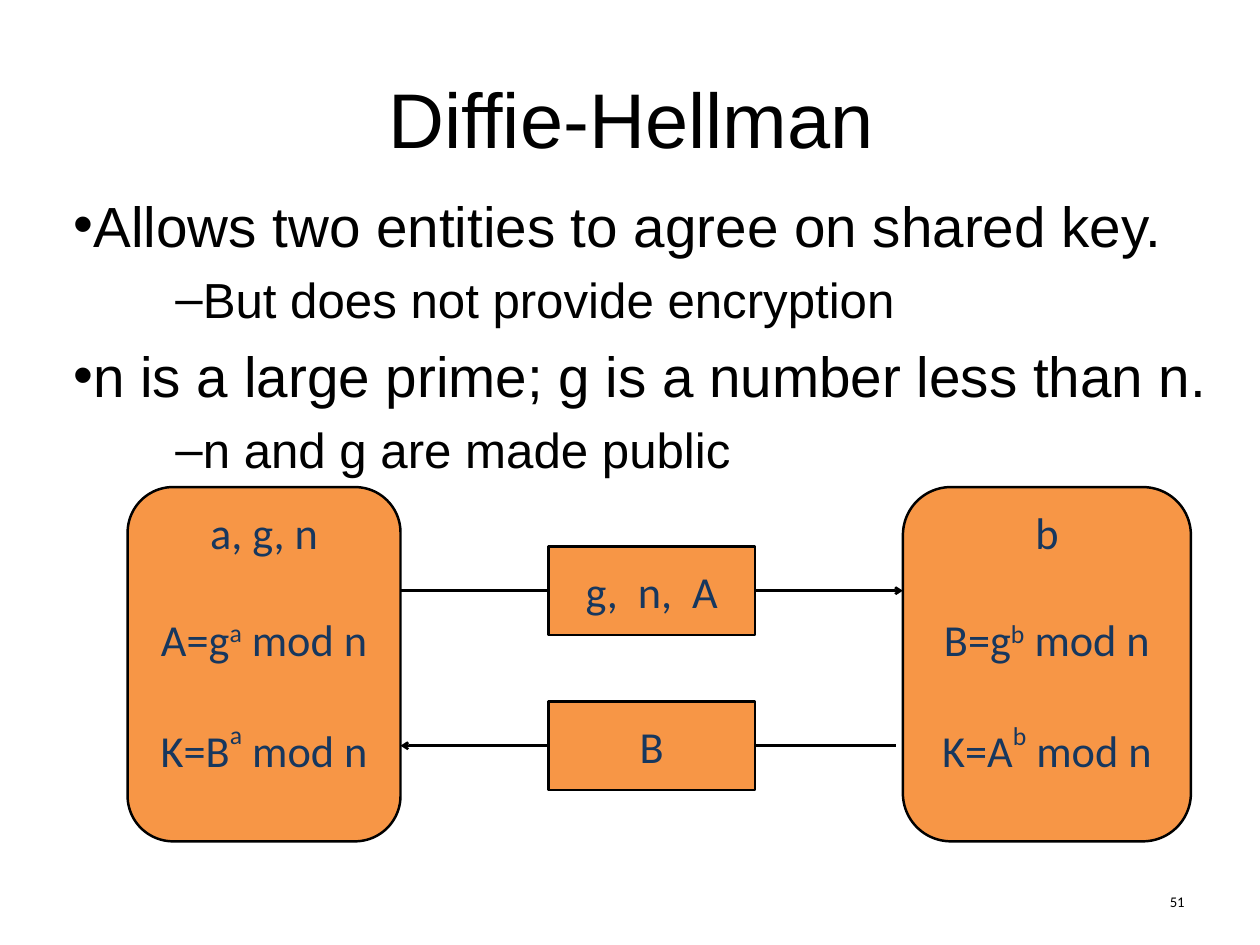
from lxml import etree
from pptx import Presentation
from pptx.dml.color import RGBColor
from pptx.enum.shapes import MSO_CONNECTOR, MSO_SHAPE
from pptx.enum.text import MSO_ANCHOR, PP_ALIGN
from pptx.oxml.ns import qn
from pptx.util import Inches, Pt

LEFT, CENTER, RIGHT = PP_ALIGN.LEFT, PP_ALIGN.CENTER, PP_ALIGN.RIGHT
TOP, MIDDLE = MSO_ANCHOR.TOP, MSO_ANCHOR.MIDDLE
RECT, ROUNDED = MSO_SHAPE.RECTANGLE, MSO_SHAPE.ROUNDED_RECTANGLE
STRAIGHT = MSO_CONNECTOR.STRAIGHT

BLACK, NAVY, ORANGE = "000000", "17375E", "F79646"
LINE_WIDTH = 2
LABEL_SIZE = 36
PARTY_LINE_GAP = 44

BULLETS = [
    (0, "Allows two entities to agree on shared key."),
    (1, "But does not provide encryption"),
    (0, "n is a large prime; g is a number less than n."),
    (1, "n and g are made public"),
]
# Per level: bullet, size, left indent, space before
LEVELS = [("•", 46, 0, 10), ("–", 40, 1.15, 9)]

WIDE = {"spc": "800"}
LOW = {"baseline": "30000"}
HIGH = {"baseline": "50000"}


def color(hex_string):
    return RGBColor.from_string(hex_string)


def set_frame(tf, anchor, inset_x, inset_y):
    tf.word_wrap = True
    tf.vertical_anchor = anchor
    tf.margin_left = tf.margin_right = Inches(inset_x)
    tf.margin_top = tf.margin_bottom = Inches(inset_y)


def next_paragraph(tf, index, align):
    p = tf.paragraphs[0] if index == 0 else tf.add_paragraph()
    p.alignment = align
    return p


def add_runs(p, runs, size, font, hex_color):
    """Add (text, run attributes) pairs to a paragraph."""
    for text, attributes in runs:
        r = p.add_run()
        r.text = text
        r.font.size = Pt(size)
        r.font.name = font
        r.font.color.rgb = color(hex_color)
        for name, value in attributes.items():
            r._r.get_or_add_rPr().set(name, value)


def add_text_box(s, box, anchor):
    sp = s.shapes.add_textbox(*map(Inches, box))
    set_frame(sp.text_frame, anchor, 0.14, 0.07)
    return sp.text_frame


def add_line_of_text(s, box, text, size, font, align):
    tf = add_text_box(s, box, MIDDLE)
    add_runs(next_paragraph(tf, 0, align), [(text, {})], size, font, BLACK)


def add_bullets(s, box):
    tf = add_text_box(s, box, TOP)
    for i, (level, text) in enumerate(BULLETS):
        bullet, size, indent, gap = LEVELS[level]
        p = next_paragraph(tf, i, LEFT)
        p.level = level
        p.space_before = Pt(gap)
        pPr = p._p.get_or_add_pPr()
        pPr.set("marL", str(Inches(indent)))
        pPr.set("indent", "0")
        etree.SubElement(pPr, qn("a:buFont")).set("typeface", "Arial")
        etree.SubElement(pPr, qn("a:buChar")).set("char", bullet)
        add_runs(p, [(text, {})], size, "Arial", BLACK)


def add_block(s, kind, box, anchor, lines):
    """Add an outlined orange shape with centred lines of runs."""
    sp = s.shapes.add_shape(kind, *map(Inches, box))
    sp.shadow.inherit = False
    sp.fill.solid()
    sp.fill.fore_color.rgb = color(ORANGE)
    sp.line.color.rgb = color(BLACK)
    sp.line.width = Pt(LINE_WIDTH)
    set_frame(sp.text_frame, anchor, 0, 0.05)
    for i, runs in enumerate(lines):
        p = next_paragraph(sp.text_frame, i, CENTER)
        if i:
            p.space_before = Pt(PARTY_LINE_GAP)
        add_runs(p, runs, LABEL_SIZE, "Calibri", NAVY)


def add_arrow(s, x1, x2, y):
    cx = s.shapes.add_connector(STRAIGHT, Inches(x1), Inches(y), Inches(x2), Inches(y))
    cx.line.color.rgb = color(BLACK)
    cx.line.width = Pt(LINE_WIDTH)
    etree.SubElement(cx.line._get_or_add_ln(), qn("a:tailEnd")).set("type", "arrow")
    etree.SubElement(cx._element.spPr, qn("a:effectLst"))


def party_lines(known, public, received, secret):
    """Lines for one party: what it knows, its public value, the shared key."""
    return [
        [(known, {})],
        [(f"{public}=g", {}), (secret, LOW), (" mod n", {})],
        [(f"K={received}", {}), (secret, HIGH), (" mod n", {})],
    ]


def add_exchange(s, box):
    """Draw both parties and the two messages between them."""
    x, y, w, h = box
    left_w, right_w = 3.08, 3.25
    left_edge, right_edge = x + left_w, x + w - right_w
    message_w, message_h = 2.33, 1
    message_x = x + 4.75
    first_y, second_y = y + 1.17, y + 2.92

    add_arrow(s, left_edge, right_edge, first_y)
    add_arrow(s, right_edge - 0.08, left_edge, second_y)
    add_block(s, ROUNDED, (x, y, left_w, h), TOP,
              party_lines("a, g, n", "A", "B", "a"))
    messages = [
        (first_y, [("g,", {}), (" ", WIDE), ("n,", {}), (" ", WIDE), ("A", {})]),
        (second_y, [("B", {})]),
    ]
    for middle, runs in messages:
        message_box = (message_x, middle - message_h / 2, message_w, message_h)
        add_block(s, RECT, message_box, MIDDLE, [runs])
    add_block(s, ROUNDED, (right_edge, y, right_w, h), TOP,
              party_lines("b", "B", "A", "b"))


def main():
    prs = Presentation()
    prs.slide_width, prs.slide_height = Inches(14.22), Inches(10.67)
    s = prs.slides.add_slide(prs.slide_layouts[6])
    add_line_of_text(s, (0.35, 0.99, 13.54, 0.68), "Diffie-Hellman", 63, "Arial", CENTER)
    add_bullets(s, (0.69, 2.08, 13.26, 2.75))
    add_exchange(s, (1.44, 5.5, 12, 4))
    add_line_of_text(s, (10.19, 9.89, 3.32, 0.57), "51", 12, "Calibri", RIGHT)
    prs.save("out.pptx")


if __name__ == "__main__":
    main()
